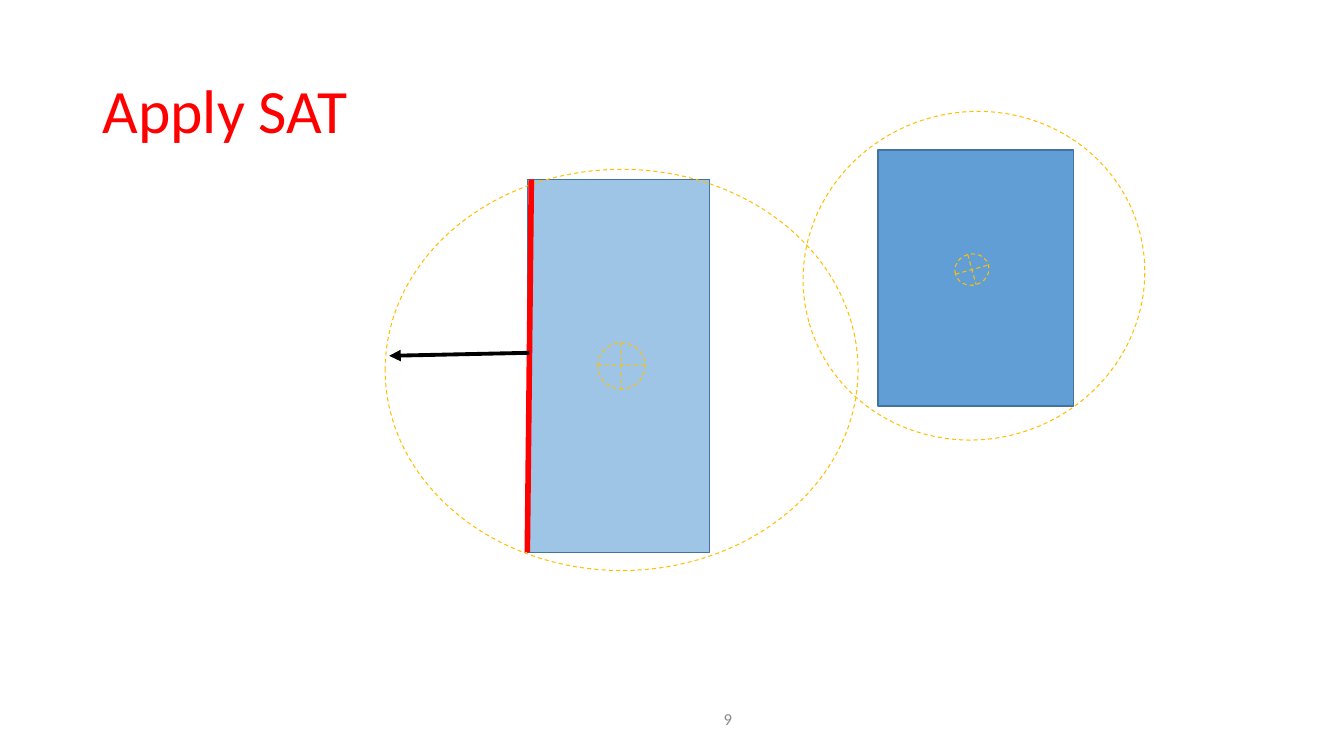
from lxml.etree import SubElement
from pptx import Presentation
from pptx.dml.color import RGBColor
from pptx.enum.dml import MSO_LINE
from pptx.enum.shapes import MSO_CONNECTOR, MSO_SHAPE as Kind
from pptx.enum.text import MSO_ANCHOR, PP_ALIGN as Align
from pptx.oxml.ns import qn
from pptx.util import Inches, Pt

# Content: boxes are left, top, width, height; lines are from and to
TEXTS = [
    ("9", (6.17, 6.93, 1.19, 0.4), dict(size="note", color="gray", align=Align.RIGHT)),
    ("Apply SAT", (0.92, 0.4, 11.5, 1.45), dict(size="title", color="red", gap=0.9)),
]
BODIES = [
    dict(box=(8.71, 1.49, 1.94, 2.54), alpha=96, turn=344.4,
         ring=(7.96, 1.11, 3.4, 3.25), hub=(9.47, 2.52, 0.34, 0.31)),
    dict(box=(5.23, 1.78, 1.81, 3.7), alpha=59, turn=0,
         ring=(3.82, 1.68, 4.69, 3.98), hub=(5.93, 3.4, 0.47, 0.46)),
]
EDGE = (5.23, 5.48, 5.27, 1.78)
NORMAL = (5.25, 3.5, 3.86, 3.53)

THEME = dict(
    font="Calibri", title=44, note=12,
    red="FF0000", gray="8C8C8C", black="000000",
    blue="5B9BD5", navy="43739E", gold="FFC000",
)

deck = Presentation()
deck.slide_width, deck.slide_height = Inches(13.33), Inches(7.5)
slide = deck.slides.add_slide(deck.slide_layouts[6])


def color(name):
    return RGBColor.from_string(THEME[name])


def place(box):
    return [Inches(v) for v in box]


def stroke(item, name, width):
    item.line.color.rgb = color(name)
    item.line.width = Pt(width)


def write(text, box, size, color_name, align=Align.LEFT, gap=1.0):
    frame = slide.shapes.add_textbox(*place(box)).text_frame
    frame.word_wrap = True
    frame.vertical_anchor = MSO_ANCHOR.MIDDLE
    para = frame.paragraphs[0]
    para.alignment, para.line_spacing = align, gap
    run = para.add_run()
    run.text = text
    run.font.name, run.font.size = THEME["font"], Pt(THEME[size])
    run.font.color.rgb = color(color_name)


def block(box, alpha):
    item = slide.shapes.add_shape(Kind.RECTANGLE, *place(box))
    item.shadow.inherit = False
    item.fill.solid()
    item.fill.fore_color.rgb = color("blue")
    tint = item.fill._xPr.find(qn("a:solidFill"))[0]
    SubElement(tint, qn("a:alpha"), val=str(alpha * 1000))
    stroke(item, "navy", 1)


def outline(kind, box, turn):
    item = slide.shapes.add_shape(kind, *place(box))
    item.shadow.inherit = False
    item.rotation = turn
    item.fill.background()
    stroke(item, "gold", 0.75)
    item.line.dash_style = MSO_LINE.DASH


def link(ends, name, width, arrow=False):
    item = slide.shapes.add_connector(MSO_CONNECTOR.STRAIGHT, *place(ends))
    stroke(item, name, width)
    if arrow:
        SubElement(item.line._get_or_add_ln(), qn("a:tailEnd"), type="triangle")
    SubElement(item._element.spPr, qn("a:effectLst"))


# Page number and title
for text, box, look in TEXTS:
    look = dict(look)
    write(text, box, color_name=look.pop("color"), **look)

# Boxes with their bounding circles and centres
for body in BODIES:
    block(body["box"], body["alpha"])
    outline(Kind.OVAL, body["ring"], body["turn"])
    outline(Kind.FLOWCHART_OR, body["hub"], body["turn"])

# Tested edge and its normal
link(EDGE, "red", 4)
link(NORMAL, "black", 2.75, arrow=True)

deck.save("out.pptx")
